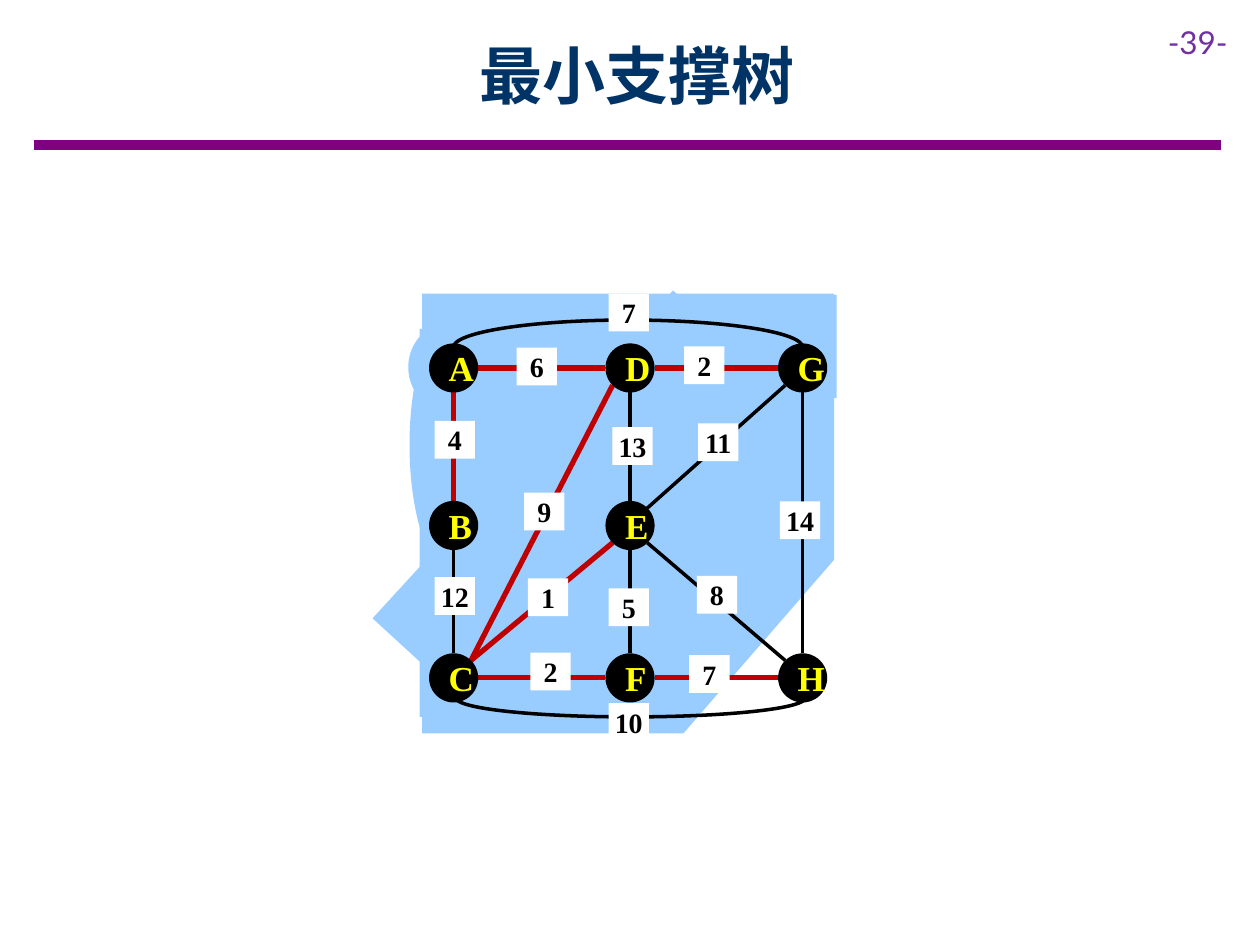
from lxml import etree
from pptx import Presentation, util as u
from pptx.dml.color import RGBColor
from pptx.enum import shapes, text
from pptx.oxml.ns import qn

TITLE = "最小支撑树"
PAGE_NUMBER = "-39-"
COLOURS = {
    "title": "003366", "rule": "800080", "page": "7030A0", "region": "99CCFF",
    "white": "FFFFFF", "black": "000000", "letter": "FFFF00", "tree": "C00000",
}
SERIF = "Times New Roman"
KINDS = shapes.MSO_SHAPE

# Coloured region behind the graph: kind, (left, top, width, height), rotation, colour
REGION = [
    (KINDS.RECTANGLE, (3.35, 2.33, 3.27, 3.49), 0, "region"),
    (KINDS.ISOSCELES_TRIANGLE, (5.4, 4.41, 1.25, 1.44), 0, "white"),
    (KINDS.RECTANGLE, (2.06, 3.88, 3.08, 0.54), 90, "region"),
    (KINDS.RECTANGLE, (2.83, 3.41, 3.53, 1.21), 312.5, "region"),
    (KINDS.RECTANGLE, (3.35, 2.34, 3.29, 0.82), 0, "region"),
    (KINDS.OVAL, (3.25, 2.5, 0.71, 2.06), 0, "region"),
    (KINDS.OVAL, (3.24, 2.55, 0.71, 0.73), 0, "region"),
]

COLUMNS = (3.6, 5.0, 6.37)
ROWS = (2.92, 4.17, 5.38)
NODES = {  # letter: (column, row)
    "A": (0, 0), "B": (0, 1), "C": (0, 2), "D": (1, 0),
    "E": (1, 1), "F": (1, 2), "G": (2, 0), "H": (2, 2),
}
NODE_SIZE = 0.39
LABEL_SIZE = (0.32, 0.3)

# Ends, weight, centre of the weight label, whether the edge is in the tree
EDGES = [
    ("BC", 12, (3.61, 4.73), False), ("DE", 13, (5.02, 3.54), False),
    ("EF", 5, (4.99, 4.82), False), ("GE", 11, (5.7, 3.51), False),
    ("HE", 8, (5.69, 4.72), False), ("GH", 14, (6.35, 4.13), False),
    ("AB", 4, (3.61, 3.49), True), ("AD", 6, (4.26, 2.91), True),
    ("DG", 2, (5.59, 2.9), True), ("DC", 9, (4.32, 4.06), True),
    ("EC", 1, (4.35, 4.74), True), ("CF", 2, (4.37, 5.33), True),
    ("FH", 7, (5.63, 5.35), True),
]
# Frame, start and end adjustment, weight, centre of the weight label
ARCS = [
    ((3.6, 2.54, 2.77, 0.43), (108.175, 0), 7, (4.99, 2.48)),
    ((3.62, 5.39, 2.77, 0.3), (0, 107.825), 10, (4.99, 5.73)),
]


def colour(name):
    return RGBColor.from_string(COLOURS[name])


def style_text(shape, content, size, font, tone, bold=True, align=text.PP_ALIGN.CENTER):
    frame = shape.text_frame
    frame.text = content
    paragraph = frame.paragraphs[0]
    paragraph.alignment = align
    run_font = paragraph.runs[0].font
    run_font.size, run_font.name, run_font.bold = u.Pt(size), font, bold
    run_font.color.rgb = colour(tone)
    return frame


def add_filled(slide, kind, box, tone):
    shape = slide.shapes.add_shape(kind, *map(u.Inches, box))
    shape.shadow.inherit = False
    shape.fill.solid()
    shape.fill.fore_color.rgb = colour(tone)
    shape.line.fill.background()
    return shape


def add_line(slide, start, end, tone, width):
    line = slide.shapes.add_connector(
        shapes.MSO_CONNECTOR.STRAIGHT, *map(u.Inches, (*start, *end)))
    line.line.color.rgb = colour(tone)
    line.line.width = u.Pt(width)
    etree.SubElement(line._element.spPr, qn("a:effectLst"))


def add_centred(slide, kind, centre, size, tone, content, points, text_tone, side_inset):
    """Add a filled shape around a centre point with text in its middle."""
    box = (centre[0] - size[0] / 2, centre[1] - size[1] / 2, *size)
    shape = add_filled(slide, kind, box, tone)
    frame = style_text(shape, content, points, SERIF, text_tone)
    frame.vertical_anchor = text.MSO_ANCHOR.MIDDLE
    frame.margin_left = frame.margin_right = u.Inches(side_inset)
    frame.margin_top = frame.margin_bottom = u.Inches(0.1)


def add_weight(slide, centre, weight):
    add_centred(slide, KINDS.RECTANGLE, centre, LABEL_SIZE, "white",
                str(weight), 16, "black", 0)


def node_centre(letter):
    column, row = NODES[letter]
    return COLUMNS[column], ROWS[row]


def edge_end(letter, other):
    """Point on a node's rim, at one of its eight sites, facing another node."""
    (column, row), (other_column, other_row) = NODES[letter], NODES[other]
    across = (other_column > column) - (other_column < column)
    down = (other_row > row) - (other_row < row)
    reach = NODE_SIZE / 2 / (across ** 2 + down ** 2) ** 0.5
    x, y = node_centre(letter)
    return x + across * reach, y + down * reach


def add_header(slide):
    title = slide.shapes.title
    title.left, title.top, title.width, title.height = map(
        u.Inches, (0.9, 0.09, 8.31, 1))
    frame = style_text(title, TITLE, 36, "Noto Sans CJK SC", "title")
    frame.vertical_anchor = text.MSO_ANCHOR.MIDDLE
    properties = frame.paragraphs[0].runs[0].font._element
    etree.SubElement(properties, qn("a:ea"), typeface="Noto Sans CJK SC")
    add_line(slide, (0.27, 1.15), (9.69, 1.15), "rule", 6)
    page = slide.shapes.add_textbox(*map(u.Inches, (9.17, 0.13, 0.83, 0.4)))
    style_text(page, PAGE_NUMBER, 18, "Lato", "page", False, text.PP_ALIGN.LEFT)
    page.text_frame.word_wrap = True


def add_graph(slide):
    for kind, box, rotation, tone in REGION:
        shape = add_filled(slide, kind, box, tone)
        shape.rotation = rotation
        if kind == KINDS.ISOSCELES_TRIANGLE:
            shape.adjustments[0] = 1
    for (start, end), _, _, in_tree in EDGES:
        add_line(slide, edge_end(start, end), edge_end(end, start),
                 "tree" if in_tree else "black", 3 if in_tree else 2)
    for box, angles, _, _ in ARCS:
        arc = slide.shapes.add_shape(KINDS.ARC, *map(u.Inches, box))
        arc.shadow.inherit = False
        arc.adjustments[0], arc.adjustments[1] = angles
        arc.fill.background()
        arc.line.color.rgb = colour("black")
        arc.line.width = u.Pt(2)
    for letter in NODES:
        add_centred(slide, KINDS.OVAL, node_centre(letter), (NODE_SIZE, NODE_SIZE),
                    "black", letter, 20, "letter", 0.1)
    for _, weight, centre, _ in EDGES:
        add_weight(slide, centre, weight)
    for _, _, weight, centre in ARCS:
        add_weight(slide, centre, weight)


def main():
    presentation = Presentation()
    presentation.slide_width, presentation.slide_height = u.Inches(10), u.Inches(7.5)
    slide = presentation.slides.add_slide(presentation.slide_layouts[5])
    add_header(slide)
    add_graph(slide)
    presentation.save("out.pptx")


if __name__ == "__main__":
    main()
